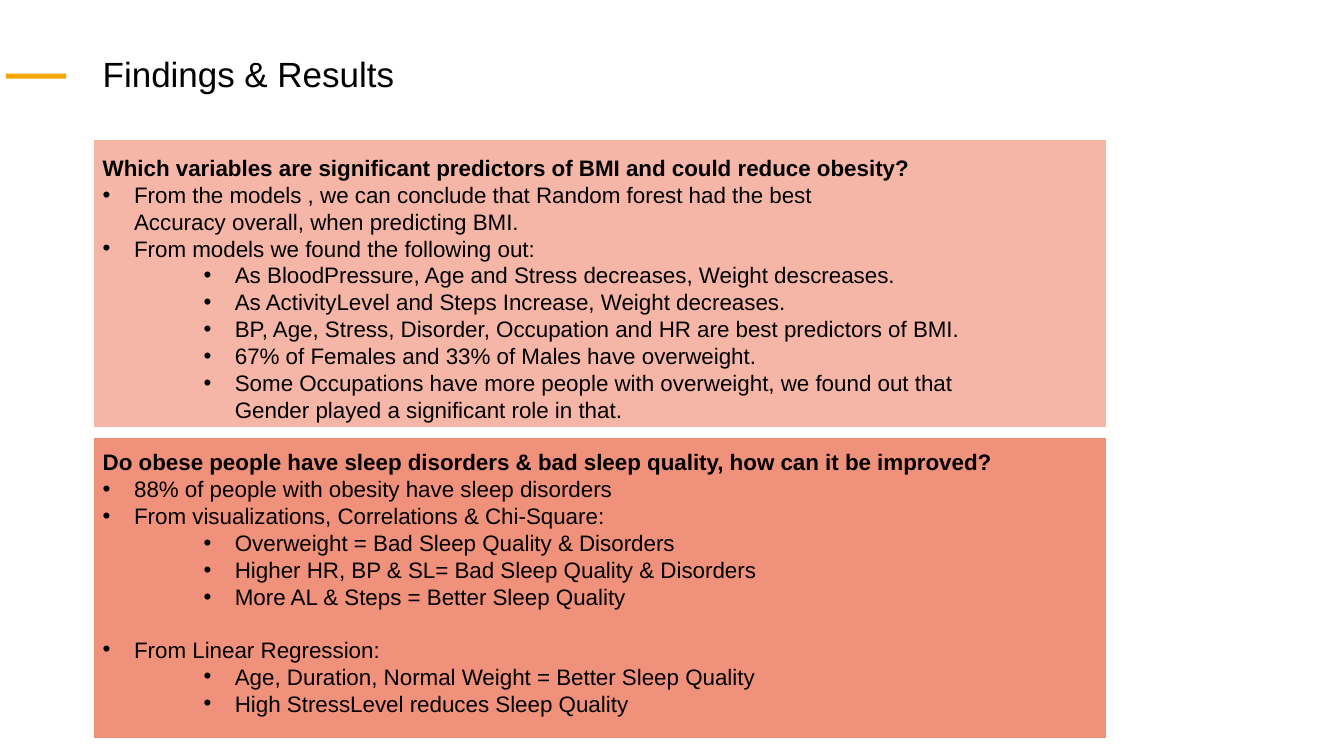
from lxml import etree
from pptx import Presentation
from pptx.dml.color import RGBColor
from pptx.enum.shapes import MSO_SHAPE
from pptx.enum.text import MSO_ANCHOR
from pptx.oxml.ns import qn
from pptx.util import Cm, Pt

RECTANGLE = MSO_SHAPE.RECTANGLE
MIDDLE = MSO_ANCHOR.MIDDLE

BLACK = RGBColor(0x00, 0x00, 0x00)
WHITE = RGBColor(0xFF, 0xFF, 0xFF)
AMBER = RGBColor(0xF5, 0xA7, 0x00)
LIGHT_CORAL = RGBColor(0xF5, 0xB6, 0xA7)
CORAL = RGBColor(0xF0, 0x91, 0x7B)

FONT = "Arial"
LEFT, WIDTH = 2.34, 25.55
LINE_HEIGHT, INSETS = 0.68, 0.25
HANGING = 0.79
LEVEL_STEP = 1.27

HEADING, BULLET, CONTINUED, SUB_BULLET, SUB_CONTINUED = range(5)
LEVELS = {SUB_BULLET: 2, SUB_CONTINUED: 2}

PREDICTORS = [
    (HEADING, "Which variables are significant predictors of BMI and could reduce obesity?"),
    (BULLET, "From the models , we can conclude that Random forest had the best"),
    (CONTINUED, "Accuracy overall, when predicting BMI."),
    (BULLET, "From models we found the following out:"),
    (SUB_BULLET, "As BloodPressure, Age and Stress decreases, Weight descreases."),
    (SUB_BULLET, "As ActivityLevel and Steps Increase, Weight decreases."),
    (SUB_BULLET, "BP, Age, Stress, Disorder, Occupation and HR are best predictors of BMI."),
    (SUB_BULLET, "67% of Females and 33% of Males have overweight."),
    (SUB_BULLET, "Some Occupations have more people with overweight, we found out that"),
    (SUB_CONTINUED, "Gender played a significant role in that."),
]
SLEEP = [
    (HEADING, "Do obese people have sleep disorders & bad sleep quality, how can it be improved?"),
    (BULLET, "88% of people with obesity have sleep disorders"),
    (BULLET, "From visualizations, Correlations & Chi-Square:"),
    (SUB_BULLET, "Overweight = Bad Sleep Quality & Disorders"),
    (SUB_BULLET, "Higher HR, BP & SL= Bad Sleep Quality & Disorders"),
    (SUB_BULLET, "More AL & Steps = Better Sleep Quality"),
]
REGRESSION = [
    (BULLET, "From Linear Regression:"),
    (SUB_BULLET, "Age, Duration, Normal Weight = Better Sleep Quality"),
    (SUB_BULLET, "High StressLevel reduces Sleep Quality"),
]


def add_rectangle(slide, left, top, width, height, color):
    """Add a plain filled rectangle without an outline and return it."""
    shape = slide.shapes.add_shape(RECTANGLE, Cm(left), Cm(top), Cm(width), Cm(height))
    shape.shadow.inherit = False
    shape.fill.solid()
    shape.fill.fore_color.rgb = color
    shape.line.fill.background()
    return shape


def set_font(paragraph, size, bold=False):
    """Set the typeface, size, weight and colour of a paragraph."""
    paragraph.font.name = FONT
    paragraph.font.size = Pt(size)
    paragraph.font.bold = bold
    paragraph.font.color.rgb = BLACK


def indent(paragraph, kind):
    """Indent a paragraph by its kind, with a bullet where the kind has one."""
    paragraph.level = LEVELS.get(kind, 0)
    properties = paragraph._p.get_or_add_pPr()
    properties.set("marL", str(Cm(paragraph.level * LEVEL_STEP + HANGING)))
    if kind in (BULLET, SUB_BULLET):
        properties.set("indent", str(-Cm(HANGING)))
        etree.SubElement(properties, qn("a:buFont")).set("typeface", FONT)
        etree.SubElement(properties, qn("a:buChar")).set("char", "•")
    else:
        properties.set("indent", "0")


def add_findings(slide, left, top, width, lines):
    """Add a text box of findings, as tall as its lines."""
    height = len(lines) * LINE_HEIGHT + INSETS
    box = slide.shapes.add_textbox(Cm(left), Cm(top), Cm(width), Cm(height))
    frame = box.text_frame
    frame.word_wrap = True
    for index, (kind, text) in enumerate(lines):
        paragraph = frame.add_paragraph() if index else frame.paragraphs[0]
        paragraph.text = text
        if kind != HEADING:
            indent(paragraph, kind)
        set_font(paragraph, 16, kind == HEADING)


def add_panel(slide, left, top, width, height, color, blocks):
    """Add a coloured panel with blocks of findings at offsets from its top."""
    panel = add_rectangle(slide, left, top, width, height, color)
    panel.line.color.rgb = WHITE
    panel.line.width = Pt(1)
    for offset, lines in blocks:
        add_findings(slide, left, top + offset, width, lines)


def add_title(slide, left, top, width, height, text):
    """Add the title with an amber dash at the slide's left edge."""
    dash_height = 0.13
    add_rectangle(slide, 0.15, top + (height - dash_height) / 2, 1.52, dash_height, AMBER)
    box = slide.shapes.add_textbox(Cm(left), Cm(top), Cm(width), Cm(height))
    frame = box.text_frame
    frame.word_wrap = True
    frame.vertical_anchor = MIDDLE
    paragraph = frame.paragraphs[0]
    paragraph.text = text
    paragraph.line_spacing = 0.9
    set_font(paragraph, 25)


def main():
    """Build the findings slide and save it."""
    presentation = Presentation()
    presentation.slide_width = Cm(33.87)
    presentation.slide_height = Cm(19.05)
    slide = presentation.slides.add_slide(presentation.slide_layouts[6])
    add_title(slide, LEFT, 1.27, 29.18, 1.3, "Findings & Results")
    add_panel(slide, LEFT, 3.51, WIDTH, 7.26, LIGHT_CORAL, [(0.25, PREDICTORS)])
    add_panel(slide, LEFT, 11.02, WIDTH, 7.59, CORAL, [(0.16, SLEEP), (4.88, REGRESSION)])
    presentation.save("out.pptx")


if __name__ == "__main__":
    main()
